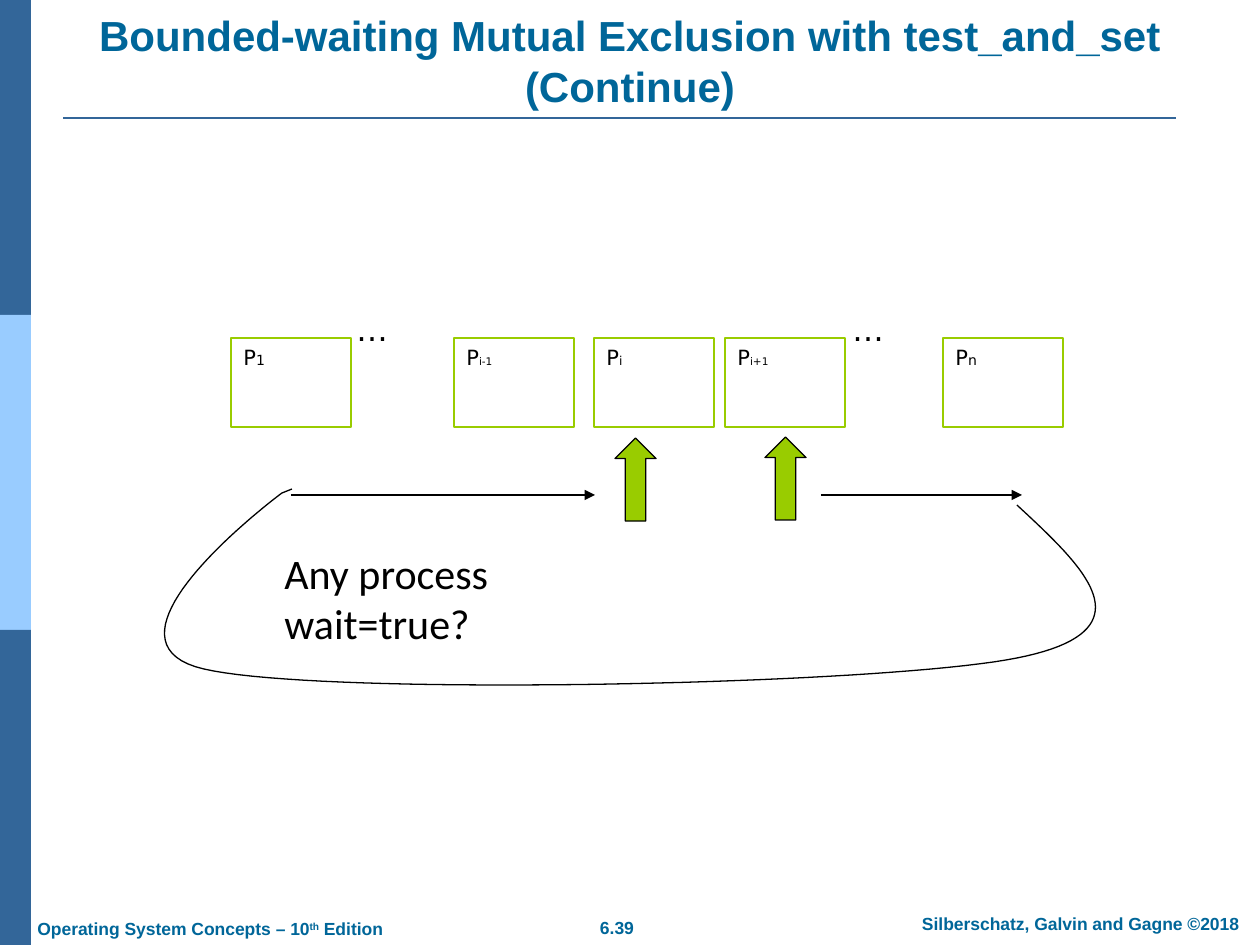
from dataclasses import dataclass
from typing import NamedTuple

from lxml.etree import SubElement
from pptx import Presentation
from pptx.dml.color import RGBColor
from pptx.enum.shapes import MSO_CONNECTOR, MSO_SHAPE
from pptx.enum.text import MSO_ANCHOR, MSO_AUTO_SIZE, PP_ALIGN
from pptx.oxml.ns import qn
from pptx.util import Emu, Pt

EMU_PER_PX = 914400 / 126


@dataclass(frozen=True)
class Theme:
    bar: RGBColor = RGBColor(0x33, 0x66, 0x99)
    bar_light: RGBColor = RGBColor(0x99, 0xCC, 0xFF)
    heading: RGBColor = RGBColor(0x00, 0x66, 0x99)
    green: RGBColor = RGBColor(0x99, 0xCC, 0x00)
    black: RGBColor = RGBColor(0, 0, 0)
    heading_font: str = "Arial"
    label_font: str = "DejaVu Sans"
    note_font: str = "Calibri"
    title_size: int = 24
    note_size: int = 24
    dots_size: int = 18
    label_size: int = 12
    footer_size: int = 10
    thin: float = 0.75
    rule: float = 1.5


THEME = Theme()


class Process(NamedTuple):
    x: int
    index: str
    index_size: int


class Footer(NamedTuple):
    x: int
    y: int
    w: int
    align: PP_ALIGN
    runs: tuple[str, ...]  # every second run is superscript


class Curve(NamedTuple):
    c1: tuple[int, int]
    c2: tuple[int, int]
    end: tuple[int, int]


PROCESSES = [Process(231, "1", 8), Process(454, "i-1", 6), Process(594, "i", 7),
             Process(725, "i+1", 6), Process(943, "n", 8)]
FOOTERS = [
    Footer(586, 911, 62, PP_ALIGN.CENTER, ("6.39",)),
    Footer(901, 907, 359, PP_ALIGN.CENTER, ("Silberschatz, Galvin and Gagne ©2018",)),
    Footer(25, 912, 377, PP_ALIGN.LEFT, ("Operating System Concepts – 10", "th", " Edition")),
]
LOOP_START = (1017, 505)
LOOP = [Curve((1085, 568), (1153, 631), (1017, 658)),
        Curve((882, 685), (326, 697), (204, 669)),
        Curve((82, 641), (282, 493), (282, 493))]
LOOP_TAIL = [(287, 491), (292, 489)]


def px(n: float) -> Emu:
    return Emu(round(n * EMU_PER_PX))


def add_block(s, kind: MSO_SHAPE, box: tuple[int, int, int, int],
              fill: RGBColor | None = None, line: RGBColor | None = None):
    sp = s.shapes.add_shape(kind, *map(px, box))
    style_block(sp, fill, line)
    return sp


def style_block(sp, fill: RGBColor | None, line: RGBColor | None) -> None:
    sp.shadow.inherit = False
    if fill is None:
        sp.fill.background()
    else:
        sp.fill.solid()
        sp.fill.fore_color.rgb = fill
    if line is None:
        sp.line.fill.background()
    else:
        sp.line.color.rgb = line
        sp.line.width = Pt(THEME.thin)


def set_font(font, name: str, size: int, color: RGBColor, bold: bool = False) -> None:
    font.name, font.size, font.bold = name, Pt(size), bold
    font.color.rgb = color


def add_text(s, box: tuple[int, int, int, int], wrap: bool = True):
    tf = s.shapes.add_textbox(*map(px, box)).text_frame
    tf.word_wrap = wrap
    return tf.paragraphs[0]


def add_line(s, x1: int, x2: int, y: int, color: RGBColor, width: float,
             arrow: bool = False) -> None:
    cxn = s.shapes.add_connector(MSO_CONNECTOR.STRAIGHT, px(x1), px(y), px(x2), px(y))
    cxn.line.color.rgb = color
    cxn.line.width = Pt(width)
    if arrow:
        SubElement(cxn.line._get_or_add_ln(), qn("a:tailEnd"), type="triangle")
    SubElement(cxn._element.spPr, qn("a:effectLst"))


def add_process(s, process: Process) -> None:
    sp = add_block(s, MSO_SHAPE.RECTANGLE, (process.x, 338, 120, 89), line=THEME.green)
    tf = sp.text_frame
    tf.vertical_anchor = MSO_ANCHOR.TOP
    p = tf.paragraphs[0]
    p.alignment = PP_ALIGN.LEFT
    for text, size in (("P", THEME.label_size), (process.index, process.index_size)):
        r = p.add_run()
        r.text = text
        set_font(r.font, THEME.label_font, size, THEME.black)


def add_footer(s, footer: Footer) -> None:
    p = add_text(s, (footer.x, footer.y, footer.w, 34), wrap=False)
    p.alignment = footer.align
    set_font(p.font, THEME.heading_font, THEME.footer_size, THEME.heading, bold=True)
    for i, text in enumerate(footer.runs):
        r = p.add_run()
        r.text = text
        if i % 2:
            r.font._element.set("baseline", "30000")


def curve_points(start: tuple[int, int], curve: Curve, steps: int = 40):
    """Points along a cubic curve, without its start."""
    for t in (i / steps for i in range(1, steps + 1)):
        weights = ((1 - t) ** 3, 3 * t * (1 - t) ** 2, 3 * t * t * (1 - t), t ** 3)
        yield tuple(sum(w * pt[axis] for w, pt in zip(weights, (start, *curve)))
                    for axis in (0, 1))


def add_loop(s) -> None:
    points, start = [], LOOP_START
    for curve in LOOP:
        points += curve_points(start, curve)
        start = curve.end
    builder = s.shapes.build_freeform(px(start_x := LOOP_START[0]), px(LOOP_START[1]))
    builder.add_line_segments([(px(x), px(y)) for x, y in points + LOOP_TAIL], close=False)
    style_block(builder.convert_to_shape(), None, THEME.black)


def main() -> None:
    prs = Presentation()
    prs.slide_width, prs.slide_height = px(1260), px(945)
    s = prs.slides.add_slide(prs.slide_layouts[5])

    # Side bars and title rule
    for i, color in enumerate((THEME.bar, THEME.bar_light, THEME.bar)):
        add_block(s, MSO_SHAPE.RECTANGLE, (0, 315 * i, 31, 315), fill=color)
    add_line(s, 63, 1176, 118, THEME.bar, THEME.rule)

    # Title
    title = s.shapes.title
    title.left, title.top, title.width, title.height = map(px, (63, 38, 1134, 79))
    tf = title.text_frame
    tf.text = "Bounded-waiting Mutual Exclusion with test_and_set (Continue)"
    tf.auto_size, tf.vertical_anchor = MSO_AUTO_SIZE.NONE, MSO_ANCHOR.BOTTOM
    tf.paragraphs[0].alignment = PP_ALIGN.CENTER
    set_font(tf.paragraphs[0].font, THEME.heading_font, THEME.title_size,
             THEME.heading, bold=True)

    # Footers
    for footer in FOOTERS:
        add_footer(s, footer)

    # Row of processes, with dots in the gaps
    for process in PROCESSES:
        add_process(s, process)
    for x in (344, 840):
        p = add_text(s, (x, 304, 106, 117))
        p.text = "…"
        set_font(p.font, THEME.label_font, THEME.dots_size, THEME.black)

    # Pointers and the circular scan
    for x, y in ((615, 438), (765, 437)):
        add_block(s, MSO_SHAPE.UP_ARROW, (x, y, 41, 83), THEME.green, THEME.black)
    for x1, x2 in ((291, 595), (821, 1022)):
        add_line(s, x1, x2, 495, THEME.black, THEME.thin, arrow=True)
    add_loop(s)

    # Question inside the loop
    p = add_text(s, (272, 541, 340, 113))
    p.text = "Any process wait=true?"
    set_font(p.font, THEME.note_font, THEME.note_size, THEME.black)

    prs.save("out.pptx")


if __name__ == "__main__":
    main()
